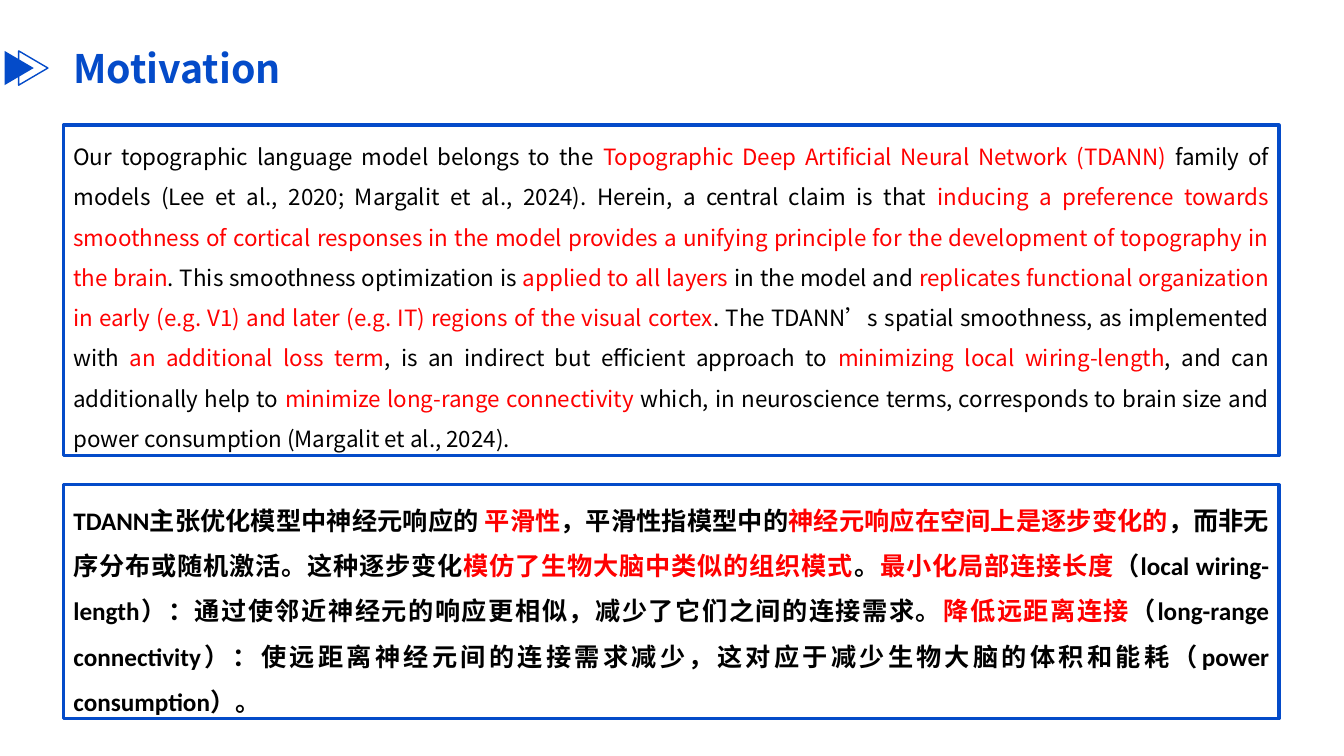
from dataclasses import dataclass

import pptx
import pptx.dml.color
import pptx.enum.shapes
import pptx.enum.text
import pptx.oxml
import pptx.oxml.ns
import pptx.util

Pt = pptx.util.Pt
BLUE, RED, BLACK = "044BC9", "FF0000", "000000"
CJK_FONT = "Noto Sans CJK SC"
LEFT, WIDTH = 45.36, 868.32


@dataclass
class Panel:
    top: float
    height: float
    line_spacing: float | pptx.util.Length
    font: dict
    pieces: list[str]  # black and red in turn, black first


PANELS = [
    Panel(89.28, 236.16, Pt(28.75), {"name": CJK_FONT, "size": Pt(16)}, [
        "Our topographic language model belongs to the ",
        "Topographic Deep Artificial Neural Network (TDANN)",
        " family of models (Lee et al., 2020; Margalit et al., 2024). "
        "Herein, a central claim is that ",
        "inducing a preference towards smoothness of cortical responses in the model "
        "provides a unifying principle for the development of topography in the brain",
        ". This smoothness optimization is ",
        "applied to all layers ",
        "in the model and ",
        "replicates functional organization in early (e.g. V1) and later (e.g. IT) "
        "regions of the visual cortex",
        ". The TDANN’s spatial smoothness, as implemented with ",
        "an additional loss term",
        ", is an indirect but efficient approach to ",
        "minimizing local wiring-length",
        ", and can additionally help to ",
        "minimize long-range connectivity",
        " which, in neuroscience terms, corresponds to brain size and power consumption "
        "(Margalit et al., 2024).",
    ]),
    Panel(346.32, 167.04, 1.5, {"name": "Calibri", "size": Pt(18), "bold": True}, [
        "TDANN主张优化模型中神经元响应的 ",
        "平滑性",
        "，平滑性指模型中的",
        "神经元响应在空间上是逐步变化的",
        "，而非无序分布或随机激活。这种逐步变化",
        "模仿了生物大脑中类似的组织模式",
        "。",
        "最小化局部连接长度",
        "（local wiring-length）：通过使邻近神经元的响应更相似，减少了它们之间的连接需求。",
        "降低远距离连接",
        "（long-range connectivity）：使远距离神经元间的连接需求减少，"
        "这对应于减少生物大脑的体积和能耗（power consumption）。",
    ]),
]


def rgb(value: str) -> pptx.dml.color.RGBColor:
    return pptx.dml.color.RGBColor.from_string(value)


def add_run(paragraph, text: str, color: str, font: dict) -> None:
    run = paragraph.add_run()
    run.text = text
    for name, value in font.items():
        setattr(run.font, name, value)
    run.font.color.rgb = rgb(color)
    east_asian = pptx.oxml.parse_xml(
        f'<a:ea {pptx.oxml.ns.nsdecls("a")} typeface="{CJK_FONT}"/>')
    run.font._element.append(east_asian)


def add_outline(shapes, kind, box: tuple, line_width: float):
    shape = shapes.add_shape(kind, *map(Pt, box))
    shape.shadow.inherit = False
    shape.fill.background()
    shape.line.color.rgb = rgb(BLUE)
    shape.line.width = Pt(line_width)
    return shape


def add_title_marker(slide) -> None:
    """Draw the solid and the open triangle that point at the title."""
    group = slide.shapes.add_group_shape()
    for left, solid in ((1.44, True), (11.52, False)):
        triangle = add_outline(
            group.shapes, pptx.enum.shapes.MSO_SHAPE.ISOSCELES_TRIANGLE,
            (left, 38.16, 24.48, 20.88), 1)
        triangle.rotation = 90
        if solid:
            triangle.fill.solid()
            triangle.fill.fore_color.rgb = rgb(BLUE)
            triangle.line.fill.background()


def add_title(slide, text: str) -> None:
    title = slide.shapes.add_textbox(*map(Pt, (LEFT, 28.08, 223.92, 41.04)))
    title.text_frame.word_wrap = True
    add_run(title.text_frame.paragraphs[0], text, BLUE,
            {"name": CJK_FONT, "size": Pt(28), "bold": True})


def add_panel(slide, panel: Panel) -> None:
    shape = add_outline(slide.shapes, pptx.enum.shapes.MSO_SHAPE.RECTANGLE,
                        (LEFT, panel.top, WIDTH, panel.height), 2.25)
    frame = shape.text_frame
    frame.word_wrap = True
    frame.vertical_anchor = pptx.enum.text.MSO_ANCHOR.TOP
    paragraph = frame.paragraphs[0]
    paragraph.alignment = pptx.enum.text.PP_ALIGN.JUSTIFY
    paragraph.line_spacing = panel.line_spacing
    for index, text in enumerate(panel.pieces):
        add_run(paragraph, text, RED if index % 2 else BLACK, panel.font)


def main() -> None:
    presentation = pptx.Presentation()
    presentation.slide_width, presentation.slide_height = Pt(960), Pt(540)
    slide = presentation.slides.add_slide(presentation.slide_layouts[6])
    add_title_marker(slide)
    add_title(slide, "Motivation")
    for panel in PANELS:
        add_panel(slide, panel)
    presentation.save("out.pptx")


if __name__ == "__main__":
    main()
